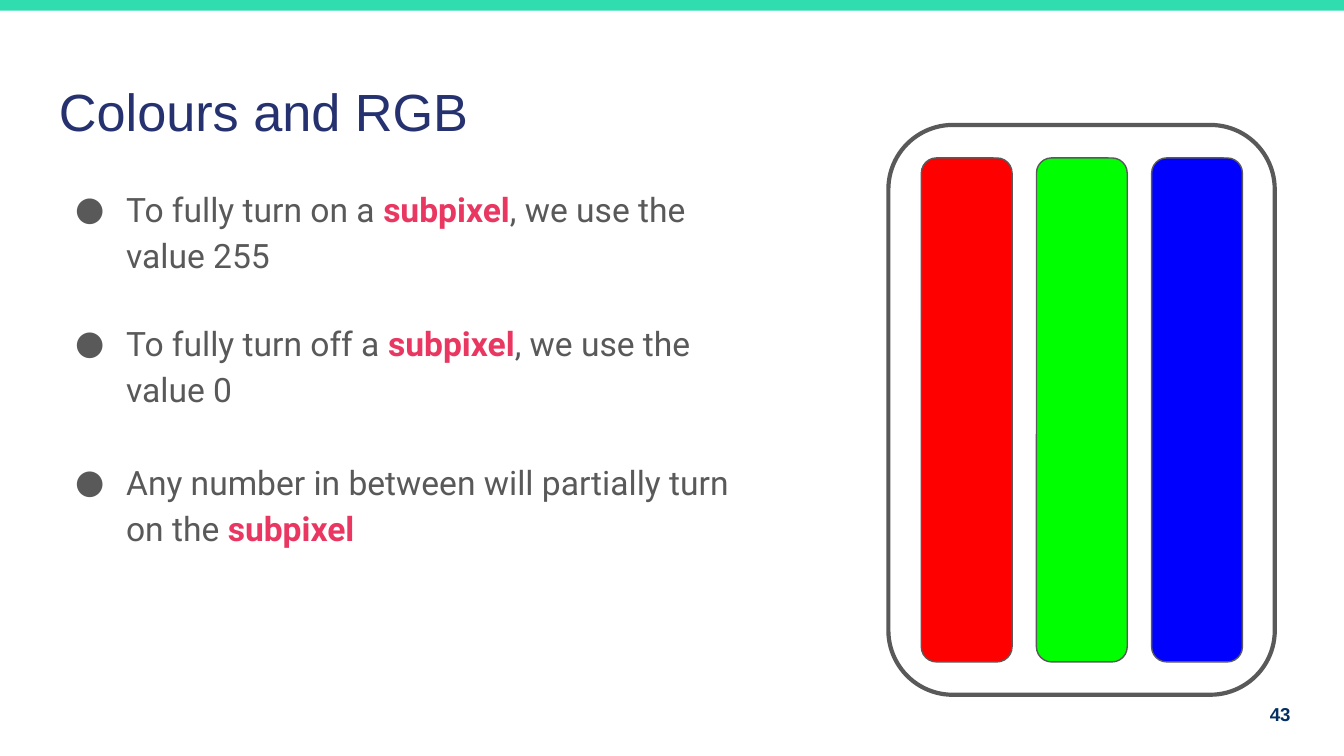
from lxml import etree
from pptx import Presentation
from pptx.dml.color import RGBColor
from pptx.enum.shapes import MSO_SHAPE
from pptx.enum.text import MSO_ANCHOR, PP_ALIGN
from pptx.oxml.ns import qn
from pptx.util import Inches, Pt

RECTANGLE = MSO_SHAPE.RECTANGLE
ROUNDED = MSO_SHAPE.ROUNDED_RECTANGLE
MIDDLE = MSO_ANCHOR.MIDDLE
TOP = MSO_ANCHOR.TOP
LEFT = PP_ALIGN.LEFT
RIGHT = PP_ALIGN.RIGHT

CELL = Inches(0.1)
COLUMNS, ROWS = 100, 56.25

GREY = "595959"
PINK = "E93761"
SUBPIXEL_COLOURS = ["FF0000", "00FF00", "0000FF"]
SUBPIXEL_LEFT, SUBPIXEL_STEP = 68.55, 8.57

BULLETS = [
    (0, ["To fully turn on a ", "subpixel", ", we use the value 255"]),
    (22, ["To fully turn off a ", "subpixel", ", we use the value 0"]),
    (25, ["Any number in between will partially turn on the ", "subpixel"]),
]


def colour(hex_string):
    return RGBColor.from_string(hex_string)


def grid(*cells):
    return [round(CELL * cell) for cell in cells]


def add_box(slide, kind, position, fill=None, line=None, width=0.75):
    shape = slide.shapes.add_shape(kind, *grid(*position))
    shape.shadow.inherit = False
    if fill:
        shape.fill.solid()
        shape.fill.fore_color.rgb = colour(fill)
    else:
        shape.fill.background()
    if line:
        shape.line.color.rgb = colour(line)
        shape.line.width = Pt(width)
    else:
        shape.line.fill.background()
    return shape


def add_frame(slide, position, anchor=TOP):
    frame = slide.shapes.add_textbox(*grid(*position)).text_frame
    frame.word_wrap = True
    frame.vertical_anchor = anchor
    frame.margin_left = frame.margin_right = CELL
    frame.margin_top = frame.margin_bottom = CELL
    return frame


def set_font(font, name, size, hex_string, bold=False):
    font.name = name
    font.size = Pt(size)
    font.color.rgb = colour(hex_string)
    font.bold = bold


def add_label(slide, position, text, size, hex_string, bold=False, align=LEFT, anchor=TOP):
    paragraph = add_frame(slide, position, anchor).paragraphs[0]
    paragraph.text = text
    paragraph.alignment = align
    set_font(paragraph.font, "Arial", size, hex_string, bold)


def set_bullet(paragraph):
    properties = paragraph._p.get_or_add_pPr()
    properties.set("marL", str(Inches(0.5)))
    properties.set("indent", str(Inches(-0.38)))
    bullet_colour = etree.SubElement(properties, qn("a:buClr"))
    etree.SubElement(bullet_colour, qn("a:srgbClr"), val=GREY)
    etree.SubElement(properties, qn("a:buFont"), typeface="Roboto")
    etree.SubElement(properties, qn("a:buChar"), char="●")


def add_bullets(slide, position, bullets):
    frame = add_frame(slide, position)
    for index, (space_before, parts) in enumerate(bullets):
        paragraph = frame.add_paragraph() if index else frame.paragraphs[0]
        paragraph.line_spacing = 1.15
        paragraph.space_before = Pt(space_before)
        set_bullet(paragraph)
        for part in parts:
            run = paragraph.add_run()
            run.text = part
            keyword = part == "subpixel"
            set_font(run.font, "Roboto", 18, PINK if keyword else GREY, keyword)


def add_pixel(slide):
    for index, fill in enumerate(SUBPIXEL_COLOURS):
        left = SUBPIXEL_LEFT + index * SUBPIXEL_STEP
        add_box(slide, ROUNDED, (left, 11.75, 6.75, 37.5), fill, GREY)
    add_box(slide, ROUNDED, (66.1, 9.3, 28.75, 42.4), line=GREY, width=2.25)


def main():
    presentation = Presentation()
    presentation.slide_width, presentation.slide_height = grid(COLUMNS, ROWS)
    slide = presentation.slides.add_slide(presentation.slide_layouts[6])
    add_box(slide, RECTANGLE, (0, 0, COLUMNS, 0.8), "30DDAE")
    add_label(slide, (3.4, 4.9, 93.2, 6.3), "Colours and RGB", 28, "25326F")
    add_bullets(slide, (3.4, 12.6, 52.7, 37.4), BULLETS)
    add_pixel(slide)
    add_label(slide, (91, 51, 6, 4.3), "43", 10, "032F62", True, RIGHT, MIDDLE)
    presentation.save("out.pptx")


if __name__ == "__main__":
    main()
